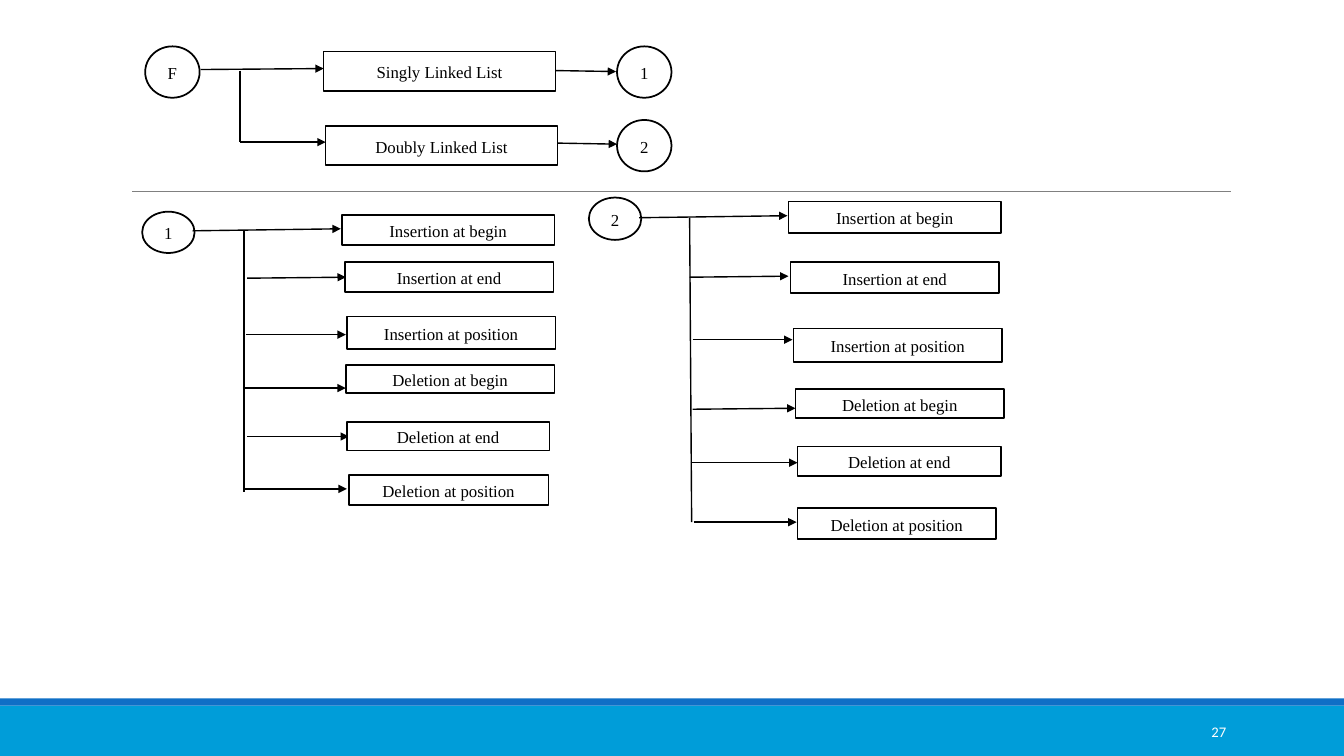
from pptx import Presentation
from pptx.dml.color import RGBColor
from pptx.enum.shapes import MSO_CONNECTOR as Conn, MSO_SHAPE as Shape
from pptx.enum.text import MSO_ANCHOR as Anchor, PP_ALIGN as Align
from pptx.oxml.ns import qn
from pptx.util import Inches, Pt
from lxml.etree import SubElement

COLORS = {"ink": "000000", "paper": "FFFFFF", "band": "009DD9",
          "stripe": "0F6FC6", "rule": "808080"}
COLS, ROWS = 133.3, 75


class Diagram:
    font, size = "Times New Roman", 12

    def __init__(self, prs):
        self.slide = prs.slides.add_slide(prs.slide_layouts[6])
        self.col = prs.slide_width / COLS
        self.row = prs.slide_height / ROWS

    def grid(self, *lengths):
        return [round(n * (self.row if i % 2 else self.col))
                for i, n in enumerate(lengths)]

    def color(self, name):
        return RGBColor.from_string(COLORS[name])

    def label(self, sp, text, font, size, color, align):
        tf = sp.text_frame
        tf.word_wrap = True
        tf.vertical_anchor = Anchor.MIDDLE
        tf.text = text
        p = tf.paragraphs[0]
        p.alignment = align
        r = p.runs[0]
        r.font.name, r.font.size = font, Pt(size)
        r.font.color.rgb = self.color(color)
        return p

    def box(self, kind, at, fill):
        sp = self.slide.shapes.add_shape(kind, *self.grid(*at))
        sp.shadow.inherit = False
        sp.fill.solid()
        sp.fill.fore_color.rgb = self.color(fill)
        return sp

    def band(self, at, fill):
        self.box(Shape.RECTANGLE, at, fill).line.fill.background()

    def node(self, text, at, kind=Shape.RECTANGLE):
        sp = self.box(kind, at, "paper")
        sp.line.color.rgb = self.color("ink")
        sp.line.width = Pt(1.25)
        p = self.label(sp, text, self.font, self.size, "ink", Align.CENTER)
        p.line_spacing, p.space_after = 1.07, Pt(8)

    def circle(self, text, at):
        self.node(text, at, Shape.FLOWCHART_CONNECTOR)

    def line(self, ends, color="ink", width=1):
        cx = self.slide.shapes.add_connector(Conn.STRAIGHT, *self.grid(*ends))
        cx.line.color.rgb = self.color(color)
        cx.line.width = Pt(width)
        SubElement(cx._element.spPr, qn("a:effectLst"))
        return cx

    def arrow(self, ends, width=1):
        cx = self.line(ends, width=width)
        ln = cx._element.spPr.find(qn("a:ln"))
        SubElement(ln, qn("a:tailEnd"), type="triangle")

    def page_number(self, text, at):
        sp = self.slide.shapes.add_textbox(*self.grid(*at))
        self.label(sp, text, "Calibri", 10.5, "paper", Align.RIGHT)

    def tree(self, root, root_at, trunk, branches):
        self.circle(root, root_at)
        self.line(trunk)
        for text, (ends, at, width) in zip(OPERATIONS, branches):
            self.arrow(ends, width)
            self.node(text, at)


OPERATIONS = [f"{action} at {place}" for action in ("Insertion", "Deletion")
              for place in ("begin", "end", "position")]

LIST_TYPES = [
    ("Singly Linked List", (32.1, 5.1, 23, 3.9), (19.9, 6.9, 32.1, 6.8),
     (55.1, 7, 61.1, 7.1), "1", (61.2, 4.6, 5.4, 5.1)),
    ("Doubly Linked List", (32.3, 12.5, 23, 3.9), (23.8, 14.1, 32.3, 14.1),
     (55.3, 14.2, 61.2, 14.3), "2", (61.2, 11.9, 5.4, 5.1)),
]

SINGLY = [
    ((19.1, 22.9, 33.8, 22.7), (33.9, 21.3, 21.1, 3), 1),
    ((24.5, 27.6, 34.3, 27.5), (34.2, 26, 20.7, 3), 1),
    ((24.4, 33.2, 34.3, 33.2), (34.4, 31.4, 20.7, 3.2), 1),
    ((24.1, 38.5, 34.3, 38.5), (34.3, 36.2, 20.7, 2.8), 1),
    ((24.5, 43.3, 34.6, 43.3), (34.4, 41.9, 20.1, 2.8), 1),
    ((24.2, 48.5, 34.4, 48.5), (34.6, 47.1, 19.8, 3), 1),
]

DOUBLY = [
    ((63.4, 21.6, 78.1, 21.4), (78.2, 20, 21.1, 3.1), 1),
    ((68.4, 27.5, 78.2, 27.4), (78.4, 26, 20.7, 3.1), 1),
    ((68.7, 33.7, 78.6, 33.7), (78.7, 32.6, 20.7, 3.3), 1),
    ((68.7, 40.6, 78.9, 40.5), (78.9, 38.6, 20.7, 2.9), 1),
    ((68.5, 45.9, 79.1, 45.9), (79.1, 44.3, 20.2, 2.9), 0.5),
    ((68.8, 51.8, 79, 51.8), (79.1, 50.4, 19.7, 3.1), 1),
]


def main():
    prs = Presentation()
    prs.slide_width, prs.slide_height = Inches(13.33), Inches(7.5)
    d = Diagram(prs)

    d.band((0, 70, COLS, 5), "band")
    d.band((0, 69.3, COLS, 0.7), "stripe")
    d.line((13.1, 19, 122.1, 19), "rule", 0.5)
    d.page_number("27", (108.3, 70.6, 14.3, 4))

    d.circle("F", (14.4, 4.6, 5.4, 5.1))
    d.line((23.8, 7, 23.8, 14.1))
    for text, box, inlet, outlet, label, target in LIST_TYPES:
        d.arrow(inlet)
        d.node(text, box)
        d.arrow(outlet)
        d.circle(label, target)

    d.tree("1", (14.1, 21, 5.2, 4.1), (24.2, 22.9, 24.2, 48.8), SINGLY)
    d.tree("2", (58.4, 19.6, 5.2, 4.2), (68.4, 21.6, 68.6, 51.8), DOUBLY)

    prs.save("out.pptx")


if __name__ == "__main__":
    main()
